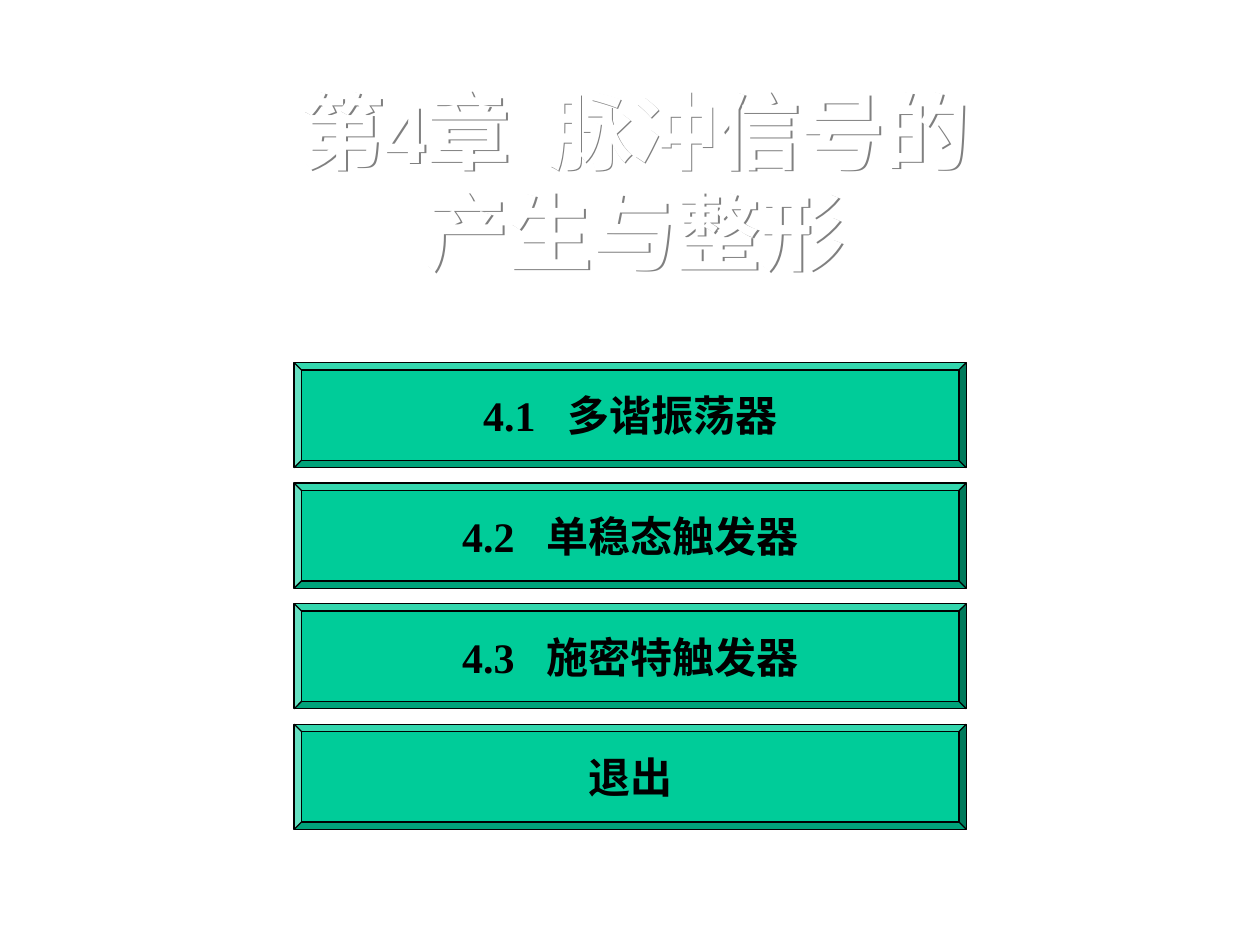
from lxml import etree
from pptx import Presentation
from pptx.dml.color import RGBColor
from pptx.enum.shapes import MSO_SHAPE
from pptx.enum.text import MSO_ANCHOR, MSO_AUTO_SIZE, PP_ALIGN
from pptx.oxml.ns import qn
from pptx.util import Cm, Pt

BEVEL = MSO_SHAPE.BEVEL
TOP, MIDDLE = MSO_ANCHOR.TOP, MSO_ANCHOR.MIDDLE
GROW = MSO_AUTO_SIZE.SHAPE_TO_FIT_TEXT
CENTER = PP_ALIGN.CENTER

WHITE = RGBColor(0xFF, 0xFF, 0xFF)
BLACK = RGBColor(0x00, 0x00, 0x00)
GREEN = RGBColor(0x00, 0xCC, 0x99)
GREY = RGBColor(0x80, 0x80, 0x80)

CHAPTER = "第4章  脉冲信号的产生与整形"
MENU = ["4.1   多谐振荡器", "4.2   单稳态触发器", "4.3   施密特触发器", "退出"]
MENU_LEFT, MENU_TOP, MENU_PITCH = 5.93, 7.31, 2.43


class ChapterSlide:
    """Holds the style and the current slide."""

    font_name = "Times New Roman"

    def __init__(self, slide):
        self.slide = slide

    def format_text(self, frame, size, color):
        """Centre the text and give its runs the common font."""
        for paragraph in frame.paragraphs:
            paragraph.alignment = CENTER
            for run in paragraph.runs:
                run.font.name = self.font_name
                run.font.size = Pt(size)
                run.font.bold = True
                run.font.color.rgb = color

    def add_shadow(self, shape, color):
        """Cast a hard shadow to the lower right of an unfilled shape's text."""
        shape.shadow.inherit = False
        effects = shape.element.spPr.find(qn("a:effectLst"))
        shadow = etree.SubElement(effects, qn("a:outerShdw"), dist="17961",
                                  dir="2700000", algn="ctr", rotWithShape="0")
        etree.SubElement(shadow, qn("a:srgbClr"), val=str(color))

    def title(self, text):
        """Place the chapter title with its shadow."""
        heading = self.slide.shapes.title
        heading.left, heading.top = Cm(5.28), Cm(1.47)
        heading.width, heading.height = Cm(15.04), Cm(4.32)
        heading.fill.background()
        self.add_shadow(heading, GREY)
        frame = heading.text_frame
        frame.text = text
        frame.word_wrap = True
        frame.auto_size = GROW
        frame.vertical_anchor = TOP
        self.format_text(frame, 48, WHITE)
        frame.paragraphs[0].space_before = Pt(30)

    def button(self, text, left, top):
        """Draw one bevelled menu button."""
        button = self.slide.shapes.add_shape(
            BEVEL, Cm(left), Cm(top), Cm(13.55), Cm(2.12))
        button.adjustments[0] = 0.07
        button.shadow.inherit = False
        button.fill.solid()
        button.fill.fore_color.rgb = GREEN
        button.line.color.rgb = BLACK
        button.line.width = Pt(0.74)
        frame = button.text_frame
        frame.text = text
        frame.word_wrap = False
        frame.vertical_anchor = MIDDLE
        self.format_text(frame, 24, BLACK)


def main():
    """Build the chapter menu slide."""
    deck = Presentation()
    deck.slide_width, deck.slide_height = Cm(25.4), Cm(19.05)
    chapter = ChapterSlide(deck.slides.add_slide(deck.slide_layouts[5]))
    chapter.title(CHAPTER)
    for row, entry in enumerate(MENU):
        chapter.button(entry, MENU_LEFT, MENU_TOP + row * MENU_PITCH)
    deck.save("out.pptx")


main()
